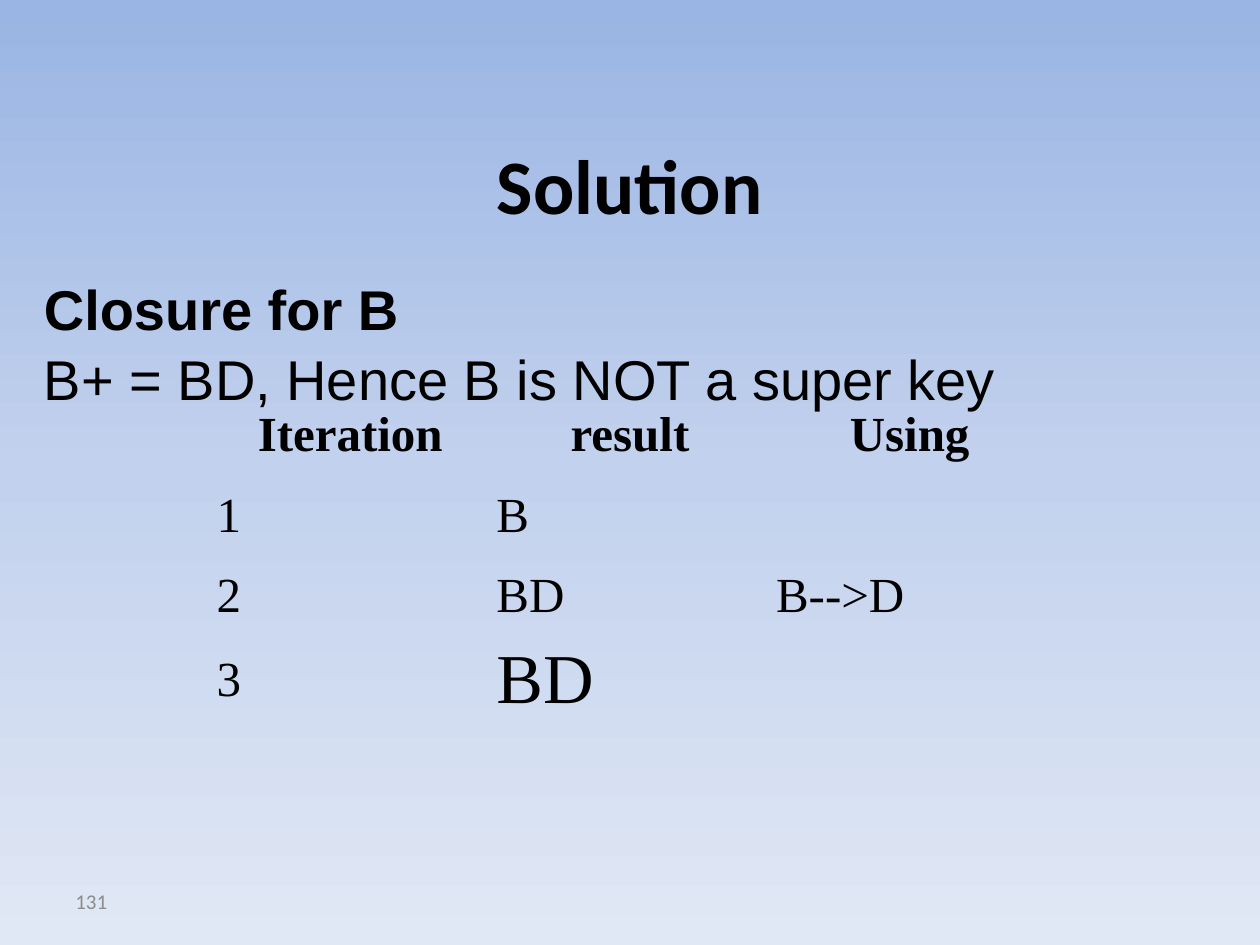
import copy

import pptx
import pptx.util
import pptx.dml.color
import pptx.enum.text

Inches = pptx.util.Inches
Pt = pptx.util.Pt
ALIGN = pptx.enum.text.PP_ALIGN
ANCHOR = pptx.enum.text.MSO_ANCHOR

BACKGROUND = [(0, "9AB5E4"), (0.5, "C2D1ED"), (1, "E1E8F5")]
NO_STYLE_NO_GRID = "{2D5ABB26-0587-4C30-8999-92F81FD0307C}"

TITLE = {"name": "Calibri", "size": Pt(44), "bold": True}
NUMBER = {"name": "Calibri", "size": Pt(12), "bold": False}
HEADING = {"name": "Arial", "size": Pt(32), "bold": True}
BODY = {**HEADING, "bold": False}
HEADER_CELL = {"name": "Times New Roman", "size": Pt(28), "bold": True}
CELL = {**HEADER_CELL, "bold": False}
LARGE_CELL = {**CELL, "size": Pt(40)}

CLOSURE_ROWS = [
    ("Iteration", "result", "Using"),
    ("1", "B", ""),
    ("2", "BD", "B-->D"),
    ("3", "BD", ""),
]
ROW_HEIGHTS = [0.55, 0.71, 0.55, 0.71]
TABLE_LEFT, TABLE_TOP, COLUMN_WIDTH = 1.67, 3.17, 2.22
CELL_MARGIN = 0.05


def color(value):
    return pptx.dml.color.RGBColor.from_string(value)


def set_format(target, values):
    for name, value in values.items():
        setattr(target, name, value)


def write(para, text, font, hue="000000", align=ALIGN.LEFT):
    para.alignment = align
    span = para.add_run()
    span.text = text
    set_format(span.font, font)
    span.font.color.rgb = color(hue)


def add_box(page, place, anchor=ANCHOR.MIDDLE):
    box = page.shapes.add_textbox(*map(Inches, place))
    set_format(box.text_frame, {"word_wrap": True, "vertical_anchor": anchor})
    return box.text_frame


def paint_background(page):
    fill = page.background.fill
    fill.gradient()
    fill.gradient_angle = 270
    last = fill.gradient_stops[1]._gs
    last.addnext(copy.deepcopy(last))
    for stop, (position, hue) in zip(fill.gradient_stops, BACKGROUND):
        stop.position = position
        stop.color.rgb = color(hue)


def add_closure_table(page):
    columns = len(CLOSURE_ROWS[0])
    frame = page.shapes.add_table(
        len(CLOSURE_ROWS), columns, Inches(TABLE_LEFT), Inches(TABLE_TOP),
        Inches(COLUMN_WIDTH * columns), Inches(sum(ROW_HEIGHTS)))
    table = frame.table
    set_format(table, {"first_row": False, "horz_banding": False})
    table._tbl.tblPr[0].text = NO_STYLE_NO_GRID
    for column in table.columns:
        column.width = Inches(COLUMN_WIDTH)
    margins = {f"margin_{side}": Inches(CELL_MARGIN)
               for side in ("left", "right", "top", "bottom")}
    last = len(CLOSURE_ROWS) - 1
    for r, texts in enumerate(CLOSURE_ROWS):
        table.rows[r].height = Inches(ROW_HEIGHTS[r])
        for c, text in enumerate(texts):
            cell = table.cell(r, c)
            cell.fill.background()
            set_format(cell, {"vertical_anchor": ANCHOR.MIDDLE, **margins})
            if text:
                font = HEADER_CELL if r == 0 else LARGE_CELL if (r, c) == (last, 1) else CELL
                align = ALIGN.CENTER if r == 0 else ALIGN.LEFT
                write(cell.text_frame.paragraphs[0], text, font, align=align)


def main():
    deck = pptx.Presentation()
    set_format(deck, {"slide_width": Inches(10), "slide_height": Inches(7.5)})
    page = deck.slides.add_slide(deck.slide_layouts[6])
    paint_background(page)

    title = add_box(page, (0.5, 0.83, 9, 1.25))
    write(title.paragraphs[0], "Solution", TITLE, align=ALIGN.CENTER)
    number = add_box(page, (0.5, 6.95, 2.33, 0.4))
    write(number.paragraphs[0], "131", NUMBER, "8C8C8C")

    add_closure_table(page)

    closure = add_box(page, (0.25, 2.08, 7.83, 2.19), ANCHOR.TOP)
    closure.margin_top = Inches(0.1)
    write(closure.paragraphs[0], "Closure for B", HEADING)
    result = closure.add_paragraph()
    result.space_before = Pt(1.5)
    write(result, "B+ = BD, Hence B is NOT a super key", BODY)

    deck.save("out.pptx")


if __name__ == "__main__":
    main()
